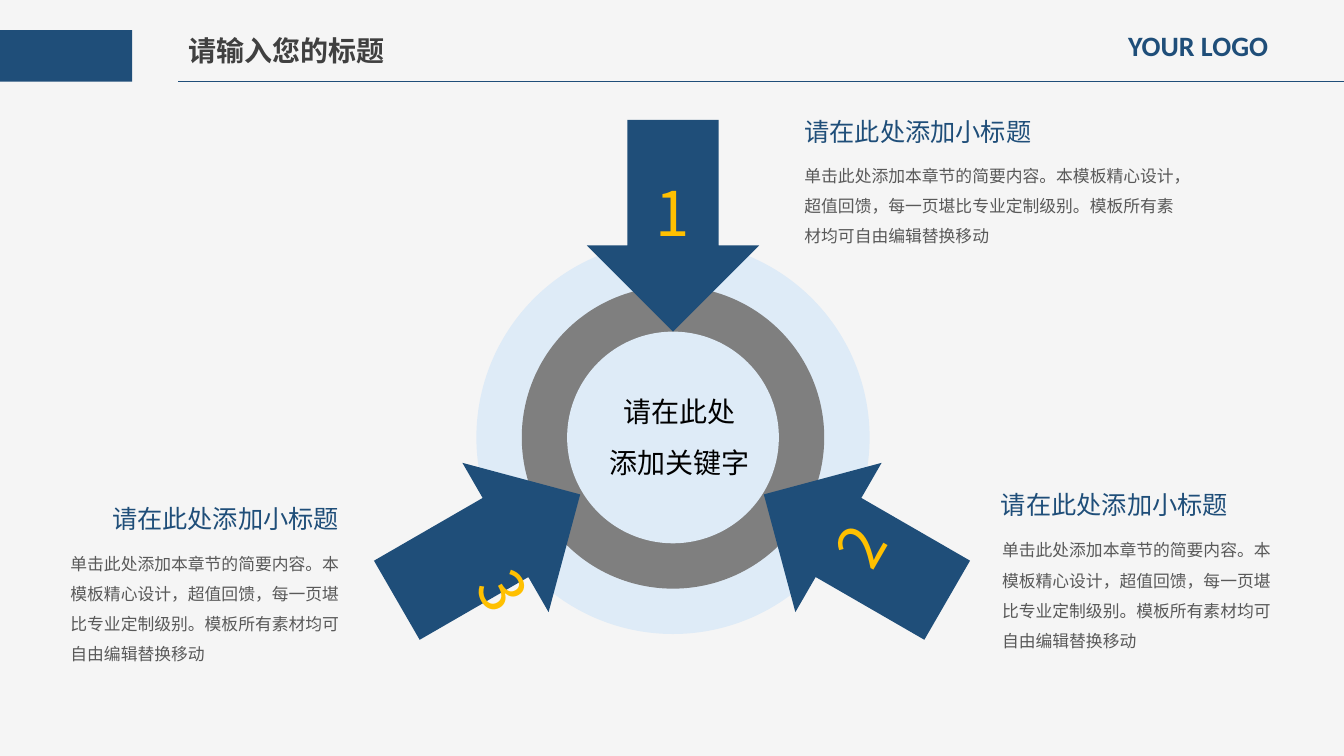
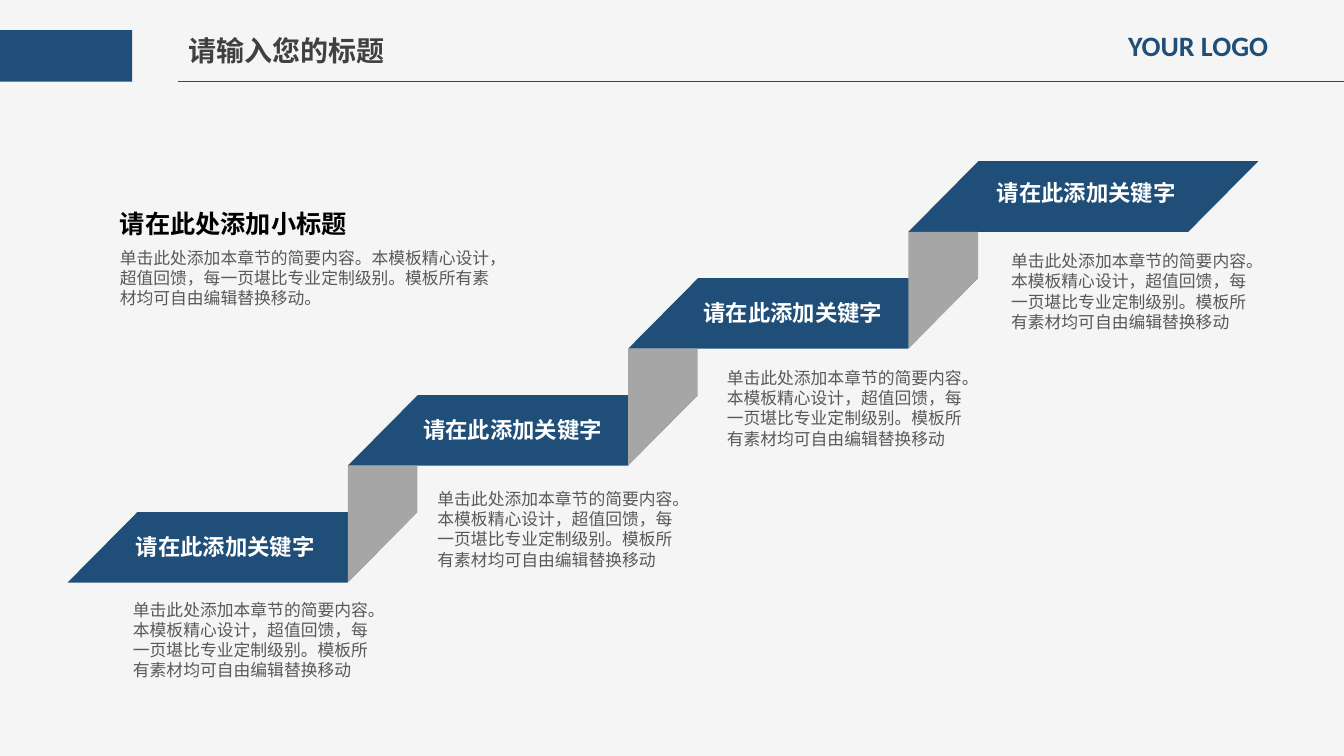
from dataclasses import dataclass

from lxml.etree import SubElement
from pptx import Presentation
from pptx.dml.color import RGBColor
from pptx.enum.shapes import MSO_CONNECTOR, MSO_SHAPE
from pptx.enum.text import MSO_ANCHOR, MSO_AUTO_SIZE, PP_ALIGN
from pptx.oxml.ns import qn
from pptx.util import Inches, Pt

WIDE, HIGH = 13.33, 7.5
NAVY, PALE, GRAY, STONE = "1F4E79", "DEEBF7", "7F7F7F", "A6A6A6"
GOLD, INK, TEXT, BLACK, WHITE = "FFC000", "404040", "595959", "000000", "FFFFFF"
PAPER = "F5F5F5"
CJK, LATIN, HEAD = "Noto Sans CJK SC", "Calibri", "Arial"

SUBHEAD = "请在此处添加小标题"
KEY = "请在此添加关键字"
BODY = ("单击此处添加本章节的简要内容。本模板精心设计，超值回馈，"
        "每一页堪比专业定制级别。模板所有素材均可自由编辑替换移动")


@dataclass(frozen=True)
class Style:
    size: float
    color: str
    face: str = CJK
    bold: bool = False
    align: PP_ALIGN = PP_ALIGN.LEFT
    space: float = 1.0
    wrap: bool = False
    anchor: MSO_ANCHOR = MSO_ANCHOR.TOP


TITLE = Style(20, INK, HEAD, True, PP_ALIGN.JUSTIFY, wrap=True, anchor=MSO_ANCHOR.MIDDLE)
LOGO = Style(20, NAVY, LATIN, True, space=1.2, anchor=MSO_ANCHOR.MIDDLE)
CORE = Style(20, BLACK, align=PP_ALIGN.CENTER, space=1.5)
DIGIT = Style(44, GOLD, align=PP_ALIGN.CENTER)
SUB = Style(18, NAVY, LATIN)
SUB_END = Style(18, NAVY, LATIN, align=PP_ALIGN.RIGHT)
SUB_BOLD = Style(18, BLACK, bold=True)
LOOSE = Style(12, TEXT, space=1.5, wrap=True)
TIGHT = Style(12, TEXT, wrap=True)
LABEL = Style(16, WHITE, bold=True)


@dataclass(frozen=True)
class Box:
    left: float
    top: float
    width: float
    height: float

    def emu(self) -> list:
        return [Inches(n) for n in (self.left, self.top, self.width, self.height)]


@dataclass(frozen=True)
class Arrow:
    left: float
    top: float
    turn: int
    digit: Box
    tilt: int


@dataclass(frozen=True)
class Note:
    head: Box
    style: Style
    body: Box


@dataclass(frozen=True)
class Step:
    label: tuple
    body: tuple


ARROWS = [
    Arrow(5.82, 1.19, 0, Box(6.39, 1.69, 0.56, 0.84), 0),
    Arrow(7.63, 4.38, 120, Box(8.25, 4.99, 0.56, 0.84), 300),
    Arrow(3.99, 4.38, 240, Box(4.72, 5.44, 0.56, 0.84), 60),
]
NOTES = [
    Note(Box(7.88, 1.1, 2.47, 0.4), SUB, Box(7.88, 1.49, 3.89, 1.01)),
    Note(Box(9.83, 4.81, 2.47, 0.4), SUB, Box(9.84, 5.21, 2.98, 1.31)),
    Note(Box(0.99, 4.94, 2.47, 0.4), SUB_END, Box(0.6, 5.34, 2.98, 1.31)),
]
STEPS = [
    Step((1.25, 5.24), (1.22, 5.9)),
    Step((4.1, 4.08), (4.24, 4.8)),
    Step((6.88, 2.92), (7.11, 3.6)),
    Step((9.79, 1.73), (9.93, 2.44)),
]
# Stairs: first corner, stride between steps, band height and slant
LEFT, TOP, RUN, RISE, DEEP, SLANT = 0.67, 5.08, 2.78, 1.16, 0.7, 0.69


def tint(code: str) -> RGBColor:
    return RGBColor.from_string(code)


def write(shape, text: str, style: Style) -> None:
    frame = shape.text_frame
    frame.text = text
    frame.word_wrap = style.wrap
    frame.auto_size = MSO_AUTO_SIZE.NONE
    frame.vertical_anchor = style.anchor
    for para in frame.paragraphs:
        para.alignment = style.align
        para.line_spacing = style.space
        font = para.font
        font.size, font.bold, font.name = Pt(style.size), style.bold, style.face
        font.color.rgb = tint(style.color)
        props = para._p.pPr.find(qn("a:defRPr"))
        SubElement(props, qn("a:ea"), typeface=CJK)


def add_text(slide, box: Box, text: str, style: Style, turn: int = 0) -> None:
    shape = slide.shapes.add_textbox(*box.emu())
    shape.rotation = turn
    write(shape, text, style)


def paint(shape, color: str) -> None:
    shape.shadow.inherit = False
    shape.fill.solid()
    shape.fill.fore_color.rgb = tint(color)
    shape.line.fill.background()


def add_form(slide, kind: MSO_SHAPE, box: Box, color: str):
    shape = slide.shapes.add_shape(kind, *box.emu())
    paint(shape, color)
    return shape


def new_slide(deck):
    """Add a slide with the shared title, rule, logo text and corner band."""
    slide = deck.slides.add_slide(deck.slide_layouts[5])
    title = slide.shapes.title
    title.left, title.top, title.width, title.height = Box(1.77, 0.13, 2.81, 0.73).emu()
    write(title, "请输入您的标题", TITLE)
    rule = slide.shapes.add_connector(
        MSO_CONNECTOR.STRAIGHT, Inches(1.77), Inches(0.81), Inches(WIDE), Inches(0.81))
    rule.line.color.rgb = tint(NAVY)
    rule.line.width = Pt(0.75)
    SubElement(rule._element.spPr, qn("a:effectLst"))
    add_text(slide, Box(11.09, 0.17, 1.62, 0.49), "YOUR LOGO", LOGO)
    add_form(slide, MSO_SHAPE.RECTANGLE, Box(0, 0.3, 1.31, 0.51), NAVY)
    return slide


def draw_rings(slide) -> None:
    mid, level = WIDE / 2 + 0.01, 4.34
    for size, color in ((3.9, PALE), (3, GRAY), (2.1, PALE)):
        box = Box(mid - size / 2, level - size / 2, size, size)
        add_form(slide, MSO_SHAPE.OVAL, box, color)
    add_text(slide, Box(5.94, 3.7, 1.6, 1.11), "请在此处\n添加关键字", CORE)


def draw_arrow(slide, arrow: Arrow, digit: int) -> None:
    box = Box(arrow.left, arrow.top, 1.71, 2.1)
    shape = add_form(slide, MSO_SHAPE.DOWN_ARROW, box, NAVY)
    shape.adjustments[0], shape.adjustments[1] = 0.53, 0.5
    shape.rotation = arrow.turn
    add_text(slide, arrow.digit, str(digit), DIGIT, arrow.tilt)


def draw_riser(slide, left: float, top: float) -> None:
    """Draw the grey fold from a band's lower right corner up to the next band."""
    base = top + DEEP
    spots = [(left, base - RISE), (left + SLANT, base - RISE), (left + SLANT, top)]
    pen = slide.shapes.build_freeform(Inches(left), Inches(base), scale=1.0)
    pen.add_line_segments([(Inches(x), Inches(y)) for x, y in spots], close=True)
    paint(pen.convert_to_shape(), STONE)


def draw_stairs(slide) -> None:
    spots = [(LEFT + RUN * n, TOP - RISE * n) for n in range(len(STEPS))]
    for left, top in spots:
        box = Box(left, top, RUN + SLANT, DEEP)
        add_form(slide, MSO_SHAPE.FLOWCHART_DATA, box, NAVY)
    for left, top in spots[:-1]:
        draw_riser(slide, left + RUN, top)
    for step in STEPS:
        add_text(slide, Box(*step.label, 2, 0.37), KEY, LABEL)
        add_text(slide, Box(*step.body, 2.68, 0.91), BODY, TIGHT)


def main() -> None:
    deck = Presentation()
    deck.slide_width, deck.slide_height = Inches(WIDE), Inches(HIGH)
    back = deck.slide_master.background.fill
    back.solid()
    back.fore_color.rgb = tint(PAPER)

    wheel = new_slide(deck)
    draw_rings(wheel)
    for digit, arrow in enumerate(ARROWS, 1):
        draw_arrow(wheel, arrow, digit)
    for note in NOTES:
        add_text(wheel, note.head, SUBHEAD, note.style)
        add_text(wheel, note.body, BODY, LOOSE)

    stairs = new_slide(deck)
    draw_stairs(stairs)
    add_text(stairs, Box(1.09, 2.02, 2.47, 0.4), SUBHEAD, SUB_BOLD)
    add_text(stairs, Box(1.09, 2.41, 3.89, 0.71), BODY + "。", TIGHT)
    deck.save("out.pptx")


if __name__ == "__main__":
    main()
